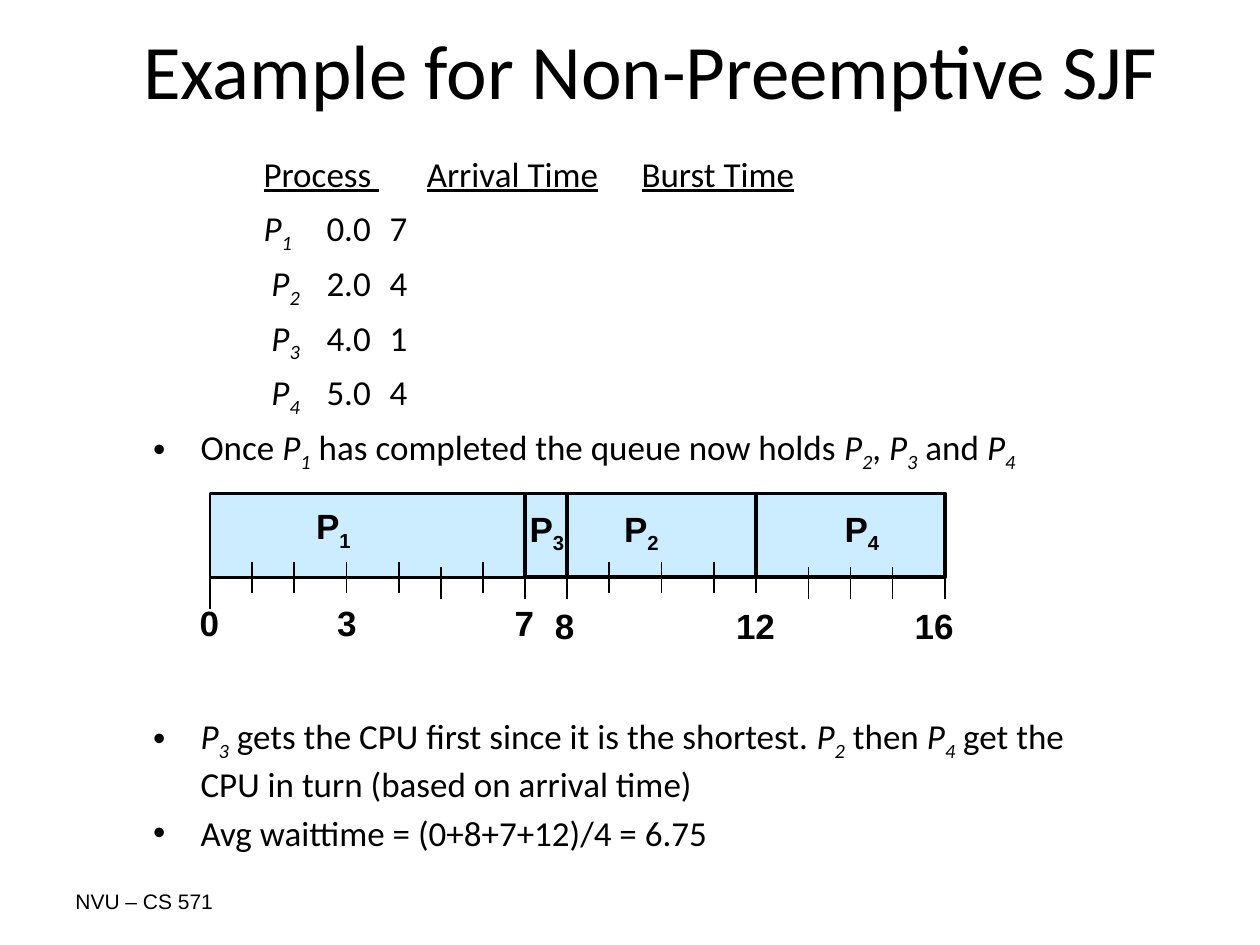
from typing import NamedTuple

import lxml.etree
import pptx
import pptx.dml.color
import pptx.enum.shapes
import pptx.enum.text
import pptx.oxml.ns
import pptx.util

Pt = pptx.util.Pt
qn = pptx.oxml.ns.qn
ANCHOR = pptx.enum.text.MSO_ANCHOR
BLACK = pptx.dml.color.RGBColor(0x00, 0x00, 0x00)
PALE = pptx.dml.color.RGBColor(0xCC, 0xEC, 0xFF)
BAR_TOP, BAR_HIGH, TICK_LEN = 282, 48, 18
HANG = 27


class Run(NamedTuple):
    text: str
    under: bool = False
    slant: bool = False
    sub: bool = False
    gap: float = 0


class Face(NamedTuple):
    font: str
    size: float
    bold: bool = False


class Bar(NamedTuple):
    left: float
    right: float
    edge: float


class Label(NamedTuple):
    runs: list[Run]
    mid: float
    top: float
    wide: float


class Line(NamedTuple):
    runs: list[Run]
    above: float = 4
    dot: bool = False


def add_runs(para, runs: list[Run], face: Face) -> None:
    for item in runs:
        run = para.add_run()
        run.text = item.text
        font = run.font
        font.name, font.size, font.bold = face.font, Pt(face.size), face.bold
        font.color.rgb = BLACK
        font.underline, font.italic = item.under, item.slant
        props = run._r.get_or_add_rPr()
        if item.sub:
            props.set("baseline", "-25000")
        if item.gap:
            props.set("spc", str(round(item.gap * 100)))


def add_box(slide, left: float, top: float, wide: float, high: float,
            anchor=ANCHOR.MIDDLE, wrap: bool = True):
    box = slide.shapes.add_textbox(Pt(left), Pt(top), Pt(wide), Pt(high))
    frame = box.text_frame
    frame.word_wrap = wrap
    frame.vertical_anchor = anchor
    return frame


def add_bar(slide, bar: Bar) -> None:
    rect = slide.shapes.add_shape(
        pptx.enum.shapes.MSO_SHAPE.RECTANGLE, Pt(bar.left), Pt(BAR_TOP),
        Pt(bar.right - bar.left), Pt(BAR_HIGH))
    rect.shadow.inherit = False
    rect.fill.solid()
    rect.fill.fore_color.rgb = PALE
    rect.line.color.rgb = BLACK
    rect.line.width = Pt(bar.edge)


def add_tick(slide, x: float, top: float) -> None:
    tick = slide.shapes.add_connector(
        pptx.enum.shapes.MSO_CONNECTOR.STRAIGHT,
        Pt(x), Pt(top), Pt(x), Pt(top + TICK_LEN))
    tick.line.color.rgb = BLACK
    tick.line.width = Pt(1)
    lxml.etree.SubElement(tick._element.spPr, qn("a:effectLst"))


def add_label(slide, label: Label) -> None:
    frame = add_box(slide, label.mid - label.wide / 2, label.top,
                    label.wide, 31, wrap=False)
    frame.auto_size = pptx.enum.text.MSO_AUTO_SIZE.SHAPE_TO_FIT_TEXT
    add_runs(frame.paragraphs[0], label.runs, Face("Arial", 20, True))


def add_line(para, line: Line) -> None:
    para.space_before = Pt(line.above)
    props = para._p.get_or_add_pPr()
    props.set("marL", str(Pt(HANG)))
    props.set("indent", str(Pt(-HANG)))
    if line.dot:
        font = lxml.etree.SubElement(props, qn("a:buFont"))
        font.set("typeface", "Arial")
        lxml.etree.SubElement(props, qn("a:buChar")).set("char", "•")
    add_runs(para, line.runs, Face("Calibri", 20))


def proc(num: int) -> list[Run]:
    return [Run("P", slant=True), Run(str(num), slant=True, sub=True)]


def row(num: int, start: str, burst: str) -> Line:
    lead = "\t\t" if num == 1 else "\t\t "
    return Line([Run(lead), *proc(num), Run(f"\t{start}\t{burst}")],
                7 if num == 1 else 4)


LINES = [
    Line([Run("\t\t"), Run("Process ", under=True), Run(" ", gap=22.5),
          Run("Arrival Time", under=True), Run("\t"),
          Run("Burst Time", under=True)]),
    row(1, "0.0", "7"),
    row(2, "2.0", "4"),
    row(3, "4.0", "1"),
    row(4, "5.0", "4"),
    Line([Run("Once "), *proc(1),
          Run(" has completed the queue now holds "), *proc(2),
          Run(", "), *proc(3), Run(" and "), *proc(4)], dot=True),
    Line([*proc(3), Run(" gets the CPU first since it is the shortest. "),
          *proc(2), Run(" then "), *proc(4),
          Run(" get the CPU in turn (based on arrival time)")], 138, True),
    Line([Run("Avg waittime = (0+8+7+12)/4 = 6.75")], dot=True),
]
BARS = [Bar(120, 300, 1.5), Bar(324, 432, 2.25),
        Bar(300, 324, 2.25), Bar(432, 540, 2.25)]
TICKS = {
    330: [120],
    321: [144, 168, 198, 228, 276, 348, 378, 408, 432],
    324: [252, 300, 324, 462, 486, 510, 540],
}
NAMES = [(1, 191, 286.5), (3, 313, 288), (2, 367, 288), (4, 493, 288)]
TIMES = [("0", 120, 340.5), ("3", 198.5, 340.5), ("7", 300, 340.5),
         ("8", 323, 342), ("12", 432, 342), ("16", 534, 342)]


def main() -> None:
    deck = pptx.Presentation()
    deck.slide_width, deck.slide_height = Pt(720), Pt(540)
    slide = deck.slides.add_slide(deck.slide_layouts[6])

    # Footer
    foot = add_box(slide, 36, 500.5, 168, 29)
    add_runs(foot.paragraphs[0], [Run("NVU – CS 571")], Face("Arial", 12))

    # Title
    head = add_box(slide, 66, 6, 612, 66)
    head.paragraphs[0].alignment = pptx.enum.text.PP_ALIGN.CENTER
    add_runs(head.paragraphs[0], [Run("Example for Non-Preemptive SJF")],
             Face("Calibri", 44))

    # Process list and bullets
    body = add_box(slide, 80.5, 72, 554, 419, ANCHOR.TOP)
    body.margin_top = Pt(15)
    for i, line in enumerate(LINES):
        add_line(body.add_paragraph() if i else body.paragraphs[0], line)

    # Gantt bars and ticks
    for bar in BARS:
        add_bar(slide, bar)
    for top, spots in TICKS.items():
        for x in spots:
            add_tick(slide, x, top)

    # Bar names and times
    for num, mid, top in NAMES:
        add_label(slide, Label([Run("P"), Run(str(num), sub=True)],
                               mid, top, 35))
    for text, mid, top in TIMES:
        add_label(slide, Label([Run(text)], mid, top, 15 + 11 * len(text)))

    deck.save("out.pptx")


if __name__ == "__main__":
    main()
